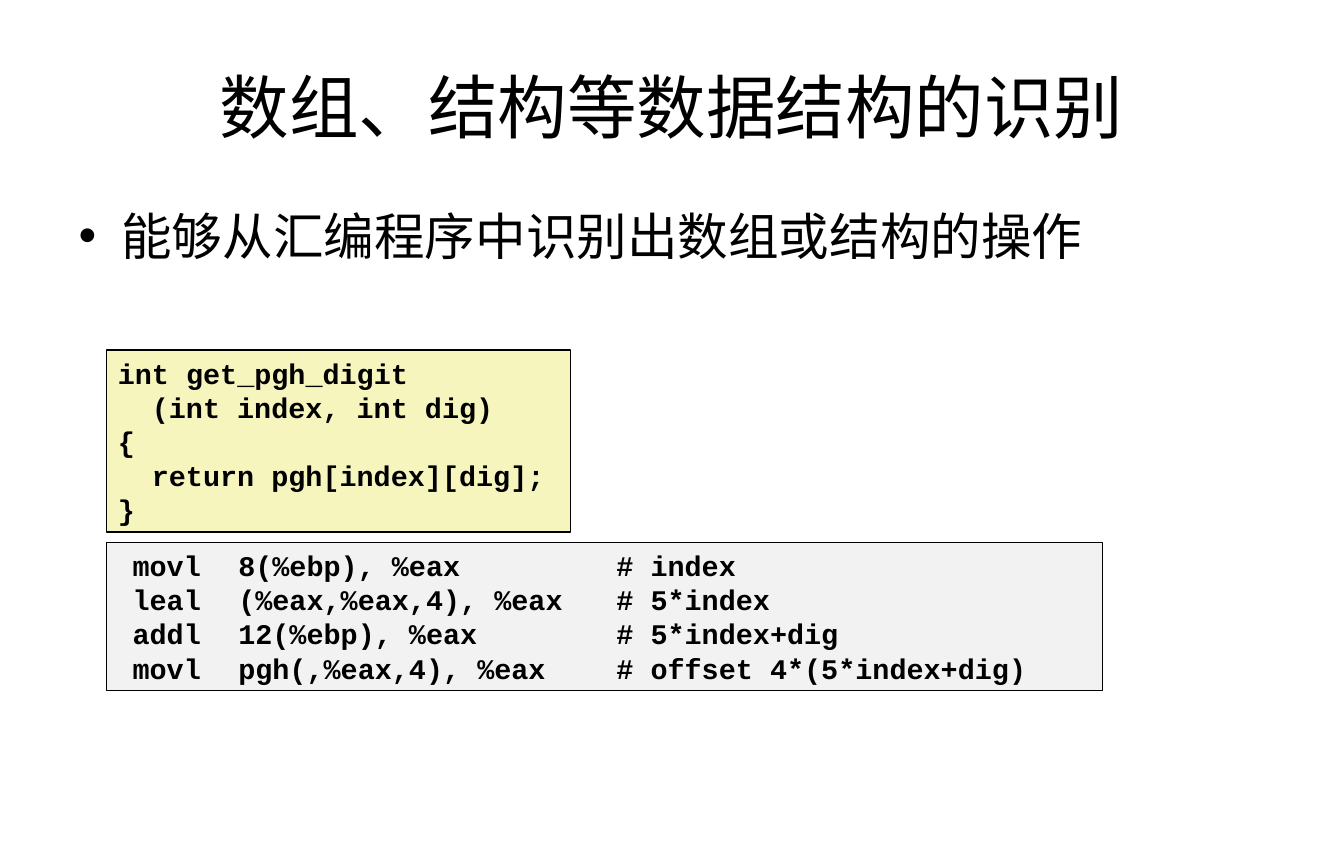
from dataclasses import dataclass

from lxml.etree import SubElement
from pptx import Presentation
from pptx.dml.color import RGBColor
from pptx.enum.shapes import MSO_SHAPE as SHAPE
from pptx.enum.text import MSO_ANCHOR as ANCHOR, MSO_AUTO_SIZE as AUTO, PP_ALIGN as ALIGN
from pptx.oxml.ns import qn
from pptx.util import Cm, Pt


@dataclass(frozen=True)
class Theme:
    ink: RGBColor = RGBColor(0, 0, 0)
    c_fill: RGBColor = RGBColor(0xF6, 0xF5, 0xBD)
    asm_fill: RGBColor = RGBColor(0xF2, 0xF2, 0xF2)
    text_font: str = "Arial"
    code_font: str = "Courier New"
    title_size: Pt = Pt(44)
    body_size: Pt = Pt(32)
    code_size: Pt = Pt(18)


theme = Theme()


def style(p, font, size, bold=False):
    for r in p.runs:
        r.font.name, r.font.size, r.font.bold = font, size, bold
        r.font.color.rgb = theme.ink


def add_code_box(s, box, fill, lines):
    sp = s.shapes.add_shape(SHAPE.RECTANGLE, *map(Cm, box))
    sp.shadow.inherit = False
    sp.fill.solid()
    sp.fill.fore_color.rgb = fill
    sp.line.color.rgb = theme.ink
    sp.line.width = Pt(1)
    tf = sp.text_frame
    tf.word_wrap = True
    tf.auto_size = AUTO.SHAPE_TO_FIT_TEXT
    tf.vertical_anchor = ANCHOR.TOP
    tf.text = "\n".join(lines)
    for p in tf.paragraphs:
        p.alignment = ALIGN.LEFT
        style(p, theme.code_font, theme.code_size, bold=True)
    return tf


prs = Presentation()
prs.slide_width, prs.slide_height = Cm(30), Cm(19.05)
s = prs.slides.add_slide(prs.slide_layouts[1])

title, body = s.placeholders
title.left, title.top, title.width, title.height = map(Cm, (1.5, 0.76, 27, 3.18))
title.text_frame.text = "数组、结构等数据结构的识别"
title.text_frame.vertical_anchor = ANCHOR.MIDDLE
title.text_frame.paragraphs[0].alignment = ALIGN.CENTER
style(title.text_frame.paragraphs[0], theme.text_font, theme.title_size)

body.left, body.top, body.width, body.height = map(Cm, (1.5, 4.45, 27, 12.57))
body.text_frame.text = "能够从汇编程序中识别出数组或结构的操作"
body.text_frame.auto_size = AUTO.NONE
body.text_frame.paragraphs[0].space_before = Pt(8)
style(body.text_frame.paragraphs[0], theme.text_font, theme.body_size)

c_code = add_code_box(s, (2.38, 7.82, 10.36, 4.06), theme.c_fill, [
    "int get_pgh_digit",
    "(int index, int dig)",
    "{",
    "return pgh[index][dig];",
    "}",
])
for indented in (1, 3):
    c_code.paragraphs[indented]._p.get_or_add_pPr().set("marL", str(Cm(0.76)))

instructions = [
    ("movl", "8(%ebp), %eax", "# index"),
    ("leal", "(%eax,%eax,4), %eax", "# 5*index"),
    ("addl", "12(%ebp), %eax", "# 5*index+dig"),
    ("movl", "pgh(,%eax,4), %eax", "# offset 4*(5*index+dig)"),
]
asm_code = add_code_box(s, (2.38, 12.12, 22.23, 3.3), theme.asm_fill,
                        ["\t" + "\t".join(row) for row in instructions])
for p in asm_code.paragraphs:
    tabs = SubElement(p._p.get_or_add_pPr(), qn("a:tabLst"))
    for stop in (0.33, 2.69, 11.13):
        SubElement(tabs, qn("a:tab"), pos=str(Cm(stop)), algn="l")

prs.save("out.pptx")
